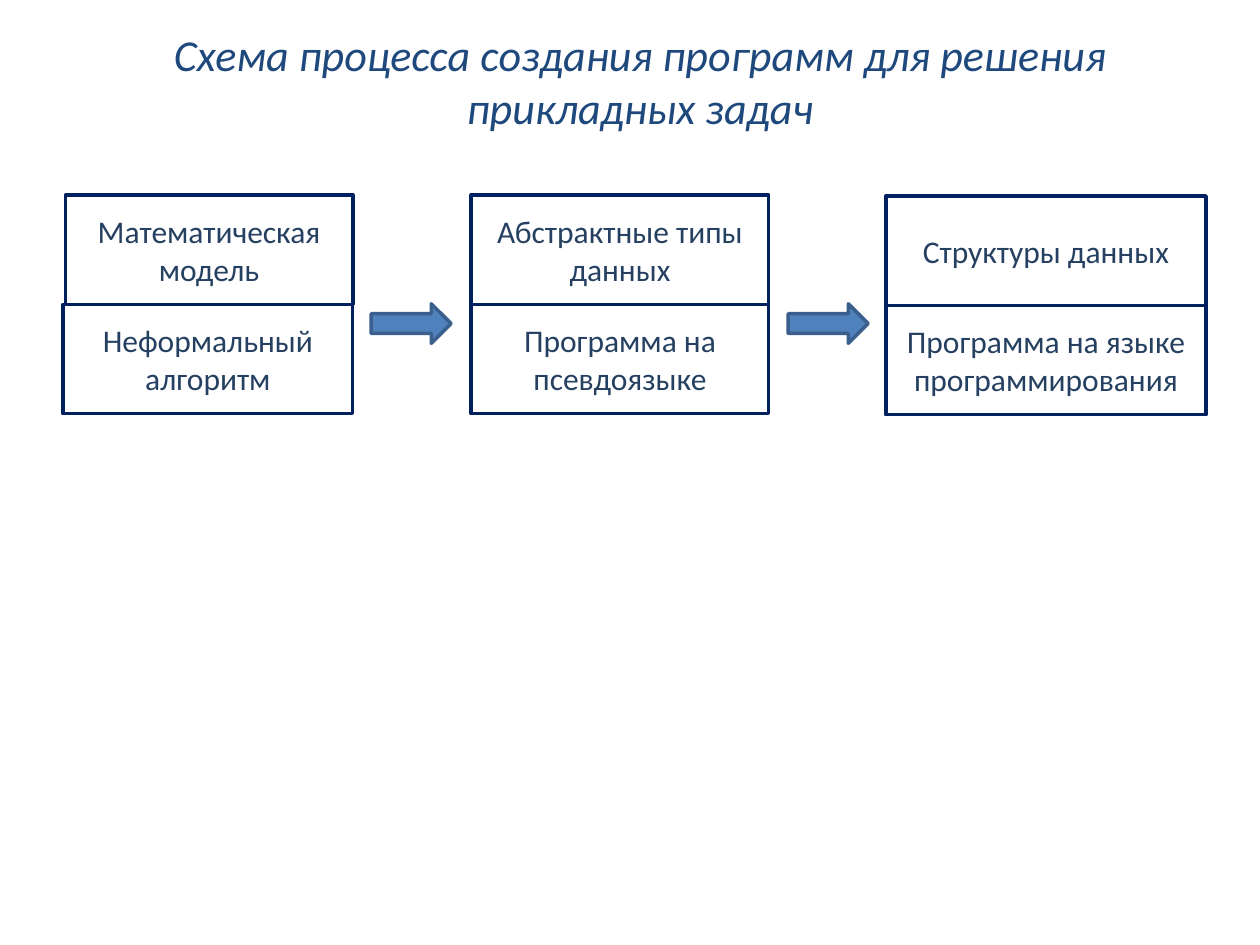
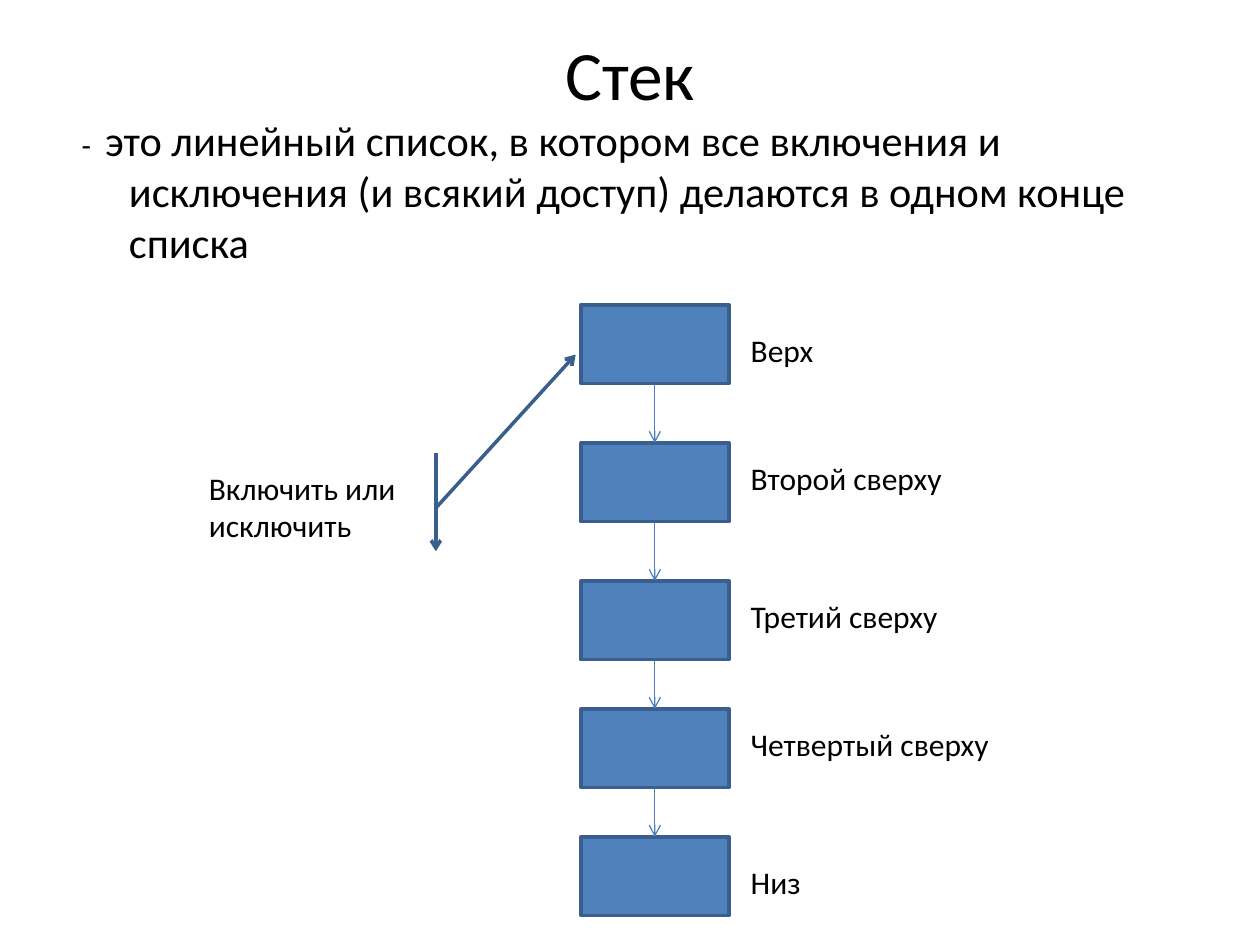
from lxml import etree
from pptx import Presentation
from pptx.dml.color import RGBColor
from pptx.enum import shapes, text
from pptx.oxml import ns
from pptx.util import Pt

FONT = "Calibri"
BLACK = RGBColor(0x00, 0x00, 0x00)
WHITE = RGBColor(0xFF, 0xFF, 0xFF)
TITLE_BLUE = RGBColor(0x1F, 0x49, 0x7D)
STAGE_TEXT = RGBColor(0x25, 0x40, 0x61)
STAGE_BORDER = RGBColor(0x00, 0x20, 0x60)
BLUE = RGBColor(0x4F, 0x81, 0xBD)
BLUE_BORDER = RGBColor(0x3A, 0x5F, 0x8C)
LINK_BLUE = RGBColor(0x4B, 0x7E, 0xBC)


def write(frame, content, size, color, align=text.PP_ALIGN.LEFT,
          anchor=text.MSO_ANCHOR.TOP, wrap=True):
    frame.text = content
    frame.word_wrap = wrap
    frame.vertical_anchor = anchor
    for paragraph in frame.paragraphs:
        paragraph.alignment = align
        for run in paragraph.runs:
            run.font.name = FONT
            run.font.size = Pt(size)
            run.font.color.rgb = color


def add_block(slide, kind, left, top, width, height, fill, border):
    block = slide.shapes.add_shape(kind, Pt(left), Pt(top), Pt(width), Pt(height))
    block.shadow.inherit = False
    if fill is None:
        block.fill.background()
    else:
        block.fill.solid()
        block.fill.fore_color.rgb = fill
    block.line.color.rgb = border
    block.line.width = Pt(2)
    return block


deck = Presentation()
deck.slide_width, deck.slide_height = Pt(720), Pt(540)
blank = deck.slide_layouts[6]
RECT = shapes.MSO_SHAPE.RECTANGLE
CENTER, MIDDLE = text.PP_ALIGN.CENTER, text.MSO_ANCHOR.MIDDLE

process = deck.slides.add_slide(blank)
stack = deck.slides.add_slide(blank)

titles = [
    (process, "Схема процесса создания программ для решения прикладных задач",
     41.8, 9.4, 72.7, 25.2, TITLE_BLUE, True),
    (stack, "Стек", 36, 21.6, 40.3, 39.6, BLACK, False),
]
for slide, heading, left, top, height, size, color, italic in titles:
    title = slide.shapes.add_textbox(Pt(left), Pt(top), Pt(648), Pt(height))
    write(title.text_frame, heading, size, color, CENTER, MIDDLE)
    title.text_frame.paragraphs[0].runs[0].font.italic = italic

STAGE_HEIGHT = 62.5
stages = [
    (111.4, [("Математическая модель", 37.4, 164.2),
             ("Неформальный алгоритм", 36, 165.6)]),
    (111.4, [("Абстрактные типы данных", 269.3, 170),
             ("Программа на псевдоязыке", 269.3, 170)]),
    (112, [("Структуры данных", 506.2, 183),
           ("Программа на языке программирования", 506.2, 183)]),
]
for stage_top, parts in stages:
    for row, (part, left, width) in enumerate(parts):
        box = add_block(process, RECT, left, stage_top + row * STAGE_HEIGHT,
                        width, STAGE_HEIGHT, WHITE, STAGE_BORDER)
        write(box.text_frame, part, 18, STAGE_TEXT, CENTER, MIDDLE)

for left in (212.1, 450.4):
    add_block(process, shapes.MSO_SHAPE.RIGHT_ARROW, left, 173.6, 45.7, 22.6,
              BLUE, BLUE_BORDER)

definition = stack.shapes.add_textbox(Pt(39.6), Pt(61.9), Pt(648), Pt(78.5))
write(definition.text_frame, "- ", 17.6, BLACK)
statement = definition.text_frame.paragraphs[0]
statement.runs[0].font._element.set("spc", "200")
wording = statement.add_run()
wording.text = ("это линейный список, в котором все включения и исключения "
                "(и всякий доступ) делаются в одном конце списка")
wording.font.name = FONT
wording.font.size = Pt(24.2)
wording.font.color.rgb = BLACK
indents = statement._p.get_or_add_pPr()
indents.set("marL", str(Pt(27)))
indents.set("indent", str(Pt(-27)))

elements = [
    ("Верх", 174.2, 185.8),
    ("Второй сверху", 253.1, 258.8),
    ("Третий сверху", 332, 337.7),
    ("Четвертый сверху", 405.1, 410.6),
    ("Низ", 478.2, 489.6),
]
arrow_lines = []
previous = None
for label, top, label_top in elements:
    cell = add_block(stack, RECT, 331.9, top, 84.6, 45, BLUE, BLUE_BORDER)
    caption = stack.shapes.add_textbox(Pt(421.9), Pt(label_top), Pt(152), Pt(29))
    write(caption.text_frame, label, 18, BLACK, wrap=False)
    if previous is not None:
        link = stack.shapes.add_connector(shapes.MSO_CONNECTOR.STRAIGHT, 0, 0, 0, 0)
        link.begin_connect(previous, 2)
        link.end_connect(cell, 0)
        link.line.color.rgb = LINK_BLUE
        link.line.width = Pt(0.75)
        etree.SubElement(link._element.spPr, ns.qn("a:effectLst"))
        arrow_lines.append(link.line)
    previous = cell

callout = add_block(stack, shapes.MSO_SHAPE.LINE_CALLOUT_1_ACCENT_BAR,
                    112.3, 258.8, 135.4, 56.2, None, BLUE_BORDER)
for position, value in enumerate((0.56, 1.01, -1, 1.6)):
    callout.adjustments[position] = value
arrow_lines.append(callout.line)

for line in arrow_lines:
    tail = etree.SubElement(line._get_or_add_ln(), ns.qn("a:tailEnd"))
    tail.set("type", "arrow")

action = stack.shapes.add_textbox(Pt(112.3), Pt(264.2), Pt(122.4), Pt(51))
write(action.text_frame, "Включить или\nисключить", 18, BLACK, wrap=False)

deck.save("out.pptx")
